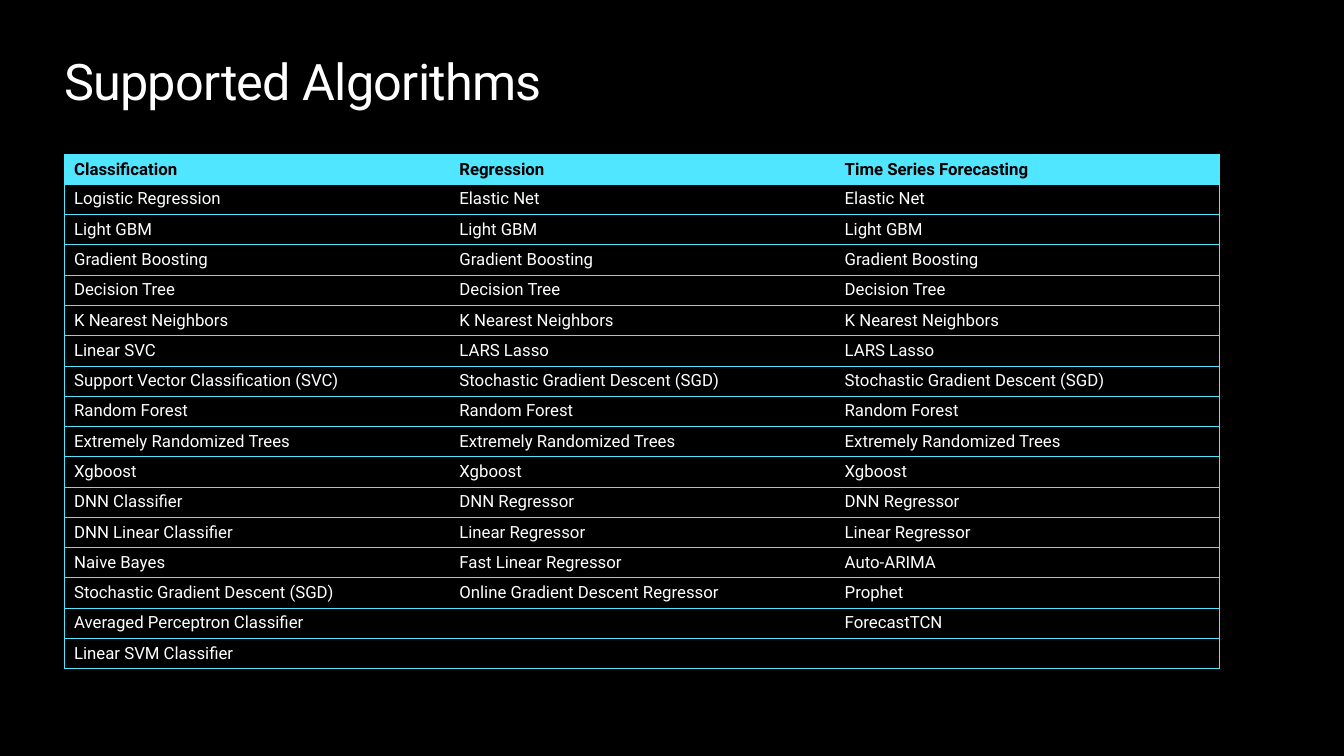
from dataclasses import dataclass
from itertools import zip_longest

from lxml import etree
from pptx import Presentation
from pptx.dml.color import RGBColor
from pptx.enum.text import MSO_ANCHOR, MSO_AUTO_SIZE, PP_ALIGN
from pptx.oxml.ns import qn
from pptx.slide import Slide
from pptx.table import _Cell
from pptx.text.text import TextFrame
from pptx.util import Emu, Pt

BLACK = RGBColor(0x00, 0x00, 0x00)
WHITE = RGBColor(0xFF, 0xFF, 0xFF)
CYAN = RGBColor(0x50, 0xE6, 0xFF)
LEFT = PP_ALIGN.LEFT
TOP, BOTTOM = MSO_ANCHOR.TOP, MSO_ANCHOR.BOTTOM
GROW = MSO_AUTO_SIZE.SHAPE_TO_FIT_TEXT
FONT = "Roboto"
BORDER_WIDTH = Pt(0.75)
TITLE_ONLY = 5


@dataclass(frozen=True)
class Task:
    name: str
    algorithms: tuple[str, ...]


@dataclass(frozen=True)
class Box:
    left: int
    top: int
    width: int
    height: int

    def emu(self) -> tuple[Emu, Emu, Emu, Emu]:
        return px(self.left), px(self.top), px(self.width), px(self.height)


TITLE_BOX = Box(64, 50, 1215, 62)
TABLE_BOX = Box(64, 154, 1156, 514)

TASKS = (
    Task("Classification", (
        "Logistic Regression", "Light GBM", "Gradient Boosting",
        "Decision Tree", "K Nearest Neighbors", "Linear SVC",
        "Support Vector Classification (SVC)", "Random Forest",
        "Extremely Randomized Trees", "Xgboost", "DNN Classifier",
        "DNN Linear Classifier", "Naive Bayes",
        "Stochastic Gradient Descent (SGD)",
        "Averaged Perceptron Classifier", "Linear SVM Classifier",
    )),
    Task("Regression", (
        "Elastic Net", "Light GBM", "Gradient Boosting", "Decision Tree",
        "K Nearest Neighbors", "LARS Lasso",
        "Stochastic Gradient Descent (SGD)", "Random Forest",
        "Extremely Randomized Trees", "Xgboost", "DNN Regressor",
        "Linear Regressor", "Fast Linear Regressor",
        "Online Gradient Descent Regressor",
    )),
    Task("Time Series Forecasting", (
        "Elastic Net", "Light GBM", "Gradient Boosting", "Decision Tree",
        "K Nearest Neighbors", "LARS Lasso",
        "Stochastic Gradient Descent (SGD)", "Random Forest",
        "Extremely Randomized Trees", "Xgboost", "DNN Regressor",
        "Linear Regressor", "Auto-ARIMA", "Prophet", "ForecastTCN",
    )),
)


def px(length: float) -> Emu:
    return Emu(round(length * 914400 / 100.8))


def write(frame: TextFrame, text: str, *, size: int, color: RGBColor = WHITE,
          bold: bool = False, spacing: int = 0) -> None:
    paragraph = frame.paragraphs[0]
    paragraph.alignment = LEFT
    if not text:
        etree.SubElement(paragraph._p, qn("a:endParaRPr"), sz=str(size * 100))
        return
    run = paragraph.add_run()
    run.text = text
    run.font.name = FONT
    run.font.size = Pt(size)
    run.font.bold = bold
    run.font.color.rgb = color
    if spacing:
        run.font._element.set("spc", str(spacing))


def set_borders(cell: _Cell, **visible: bool) -> None:
    properties = cell._tc.get_or_add_tcPr()
    for side in ("L", "R", "T", "B"):
        line = etree.SubElement(properties, qn(f"a:ln{side}"), w=str(BORDER_WIDTH))
        if visible.get(side, True):
            fill = etree.SubElement(line, qn("a:solidFill"))
            etree.SubElement(fill, qn("a:srgbClr"), val=str(CYAN))
        else:
            etree.SubElement(line, qn("a:noFill"))


def add_title(slide: Slide) -> None:
    title = slide.shapes.title
    title.left, title.top, title.width, title.height = TITLE_BOX.emu()
    frame = title.text_frame
    frame.margin_left = frame.margin_right = 0
    frame.margin_top = frame.margin_bottom = 0
    frame.vertical_anchor = TOP
    frame.word_wrap = True
    frame.auto_size = GROW
    write(frame, "Supported Algorithms", size=36, spacing=-50)


def add_algorithms(slide: Slide) -> None:
    header = tuple(task.name for task in TASKS)
    body = zip_longest(*(task.algorithms for task in TASKS), fillvalue="")
    rows = [header, *body]
    last_column = len(TASKS) - 1
    table = slide.shapes.add_table(len(rows), len(TASKS), *TABLE_BOX.emu()).table
    table.first_row = True
    table.horz_banding = False
    for column in table.columns:
        column.width = px(TABLE_BOX.width / len(TASKS))
    for row_index, names in enumerate(rows):
        table.rows[row_index].height = px(TABLE_BOX.height / len(rows))
        is_header = row_index == 0
        for column_index, name in enumerate(names):
            cell = table.cell(row_index, column_index)
            set_borders(cell, L=column_index == 0, R=column_index == last_column)
            cell.fill.solid()
            cell.fill.fore_color.rgb = CYAN if is_header else BLACK
            cell.vertical_anchor = BOTTOM if is_header else TOP
            write(cell.text_frame, name, size=12, bold=is_header,
                  color=BLACK if is_header else WHITE)


def main() -> None:
    deck = Presentation()
    deck.slide_width, deck.slide_height = px(1344), px(756)
    slide = deck.slides.add_slide(deck.slide_layouts[TITLE_ONLY])
    slide.background.fill.solid()
    slide.background.fill.fore_color.rgb = BLACK
    add_title(slide)
    add_algorithms(slide)
    deck.save("out.pptx")


if __name__ == "__main__":
    main()
